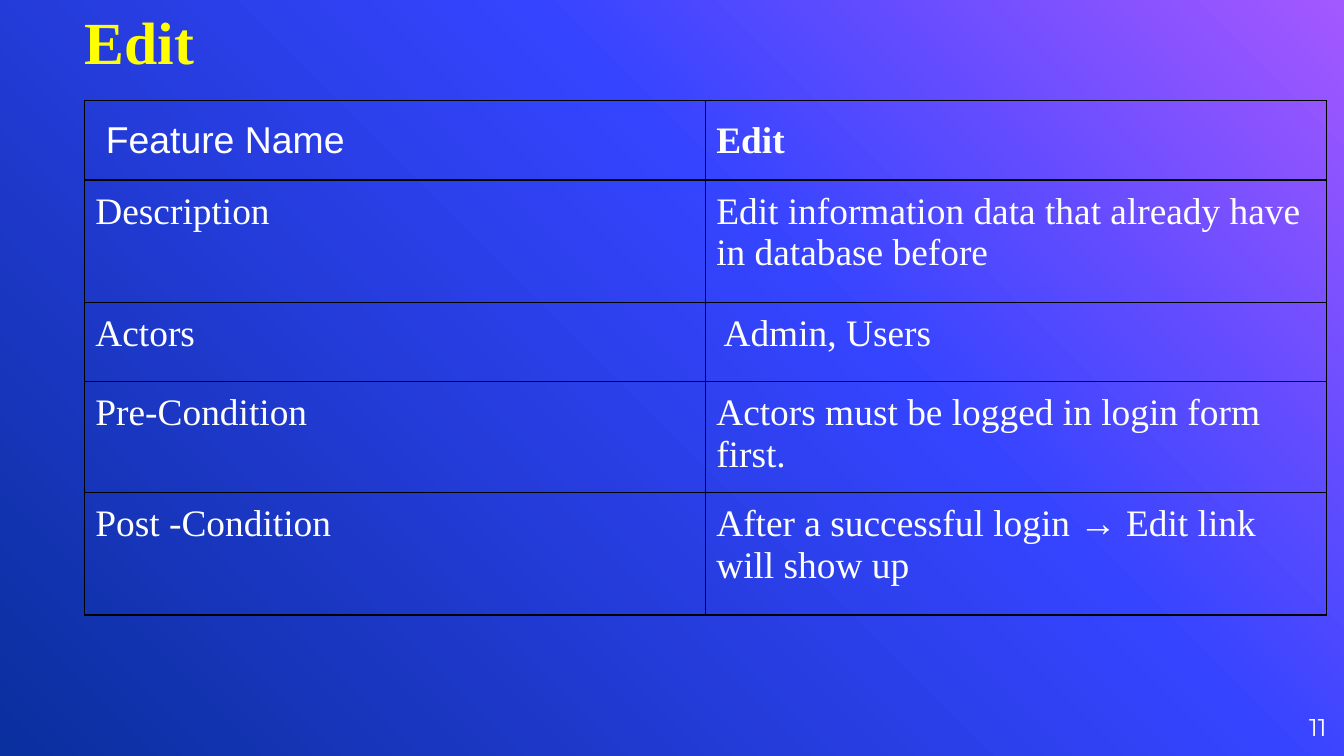
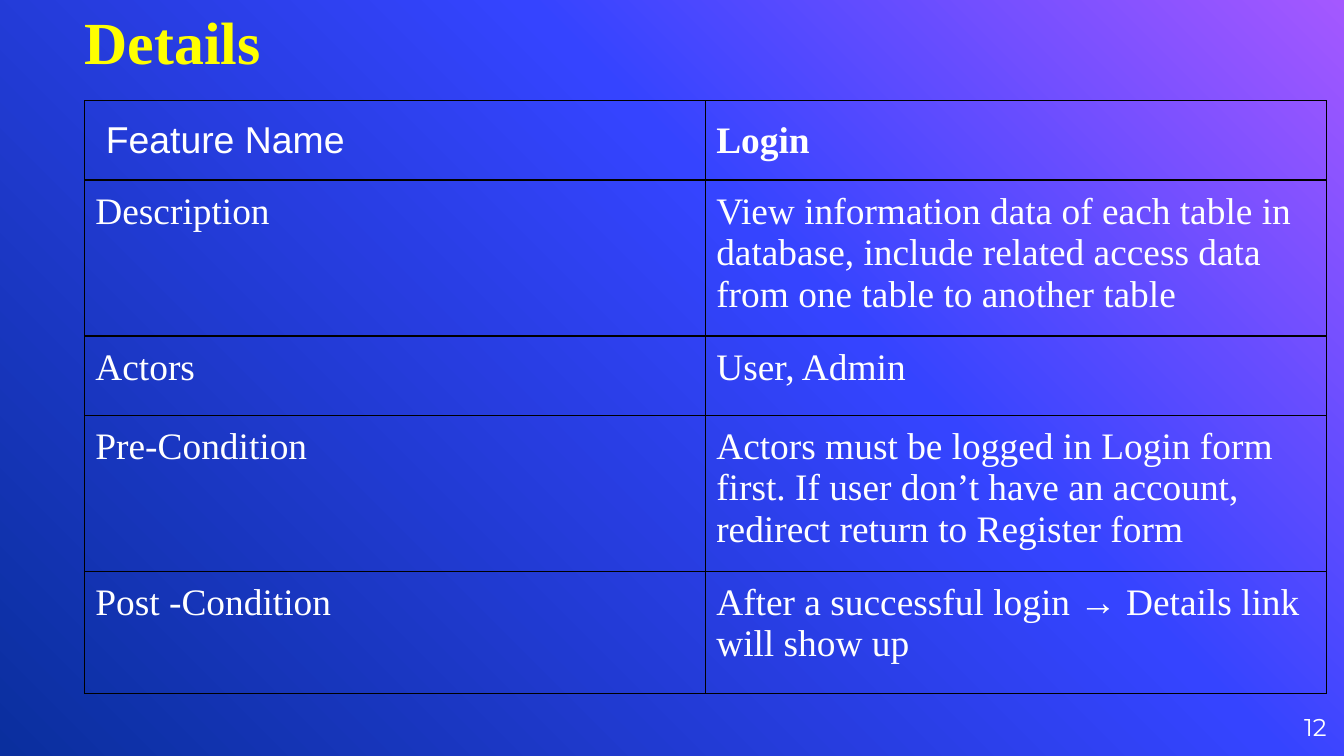
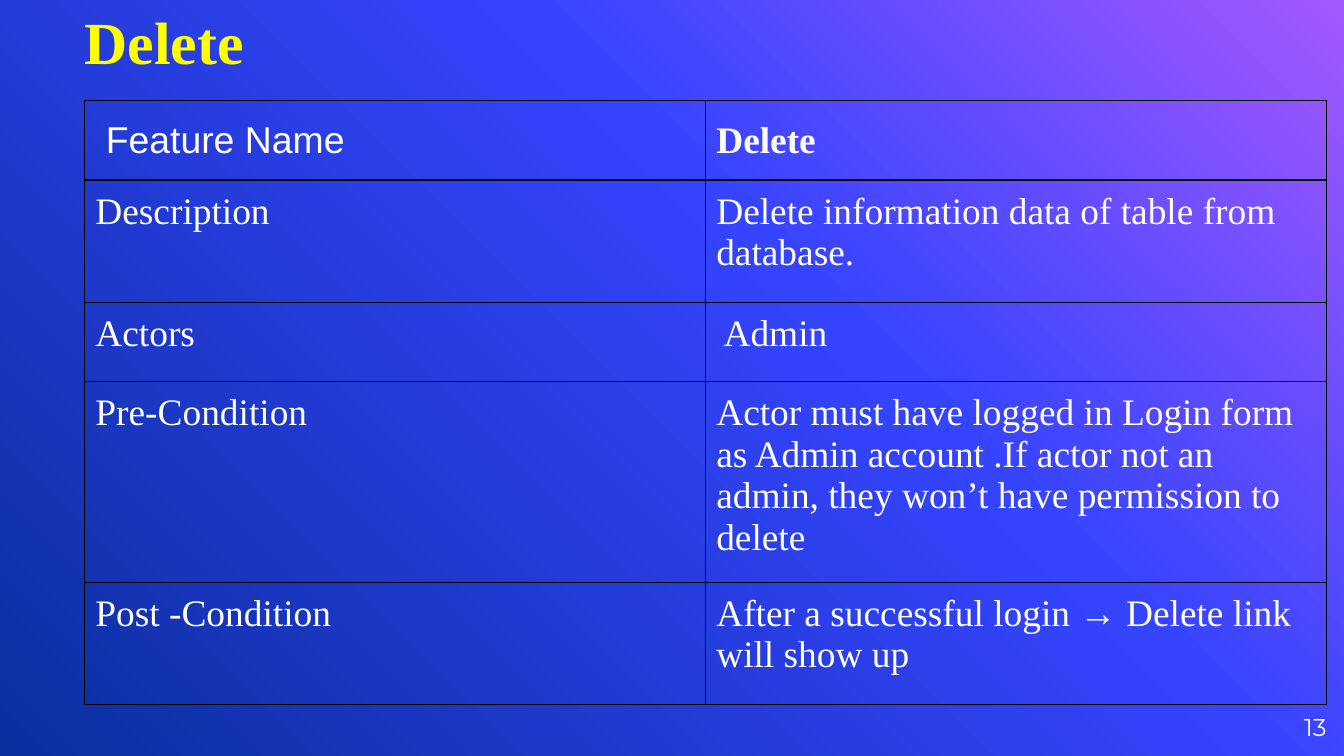
from dataclasses import dataclass
from typing import Any

import copy

import lxml.etree
import pptx
import pptx.dml.color
import pptx.enum.text
import pptx.oxml.ns
import pptx.slide
import pptx.text.text
import pptx.util

Inches = pptx.util.Inches
Pt = pptx.util.Pt
RGBColor = pptx.dml.color.RGBColor
ANCHOR = pptx.enum.text.MSO_ANCHOR
ALIGN = pptx.enum.text.PP_ALIGN
qn = pptx.oxml.ns.qn

VIOLET = RGBColor(0xA4, 0x58, 0xFF)
BLUE = RGBColor(0x35, 0x44, 0xFF)
NAVY = RGBColor(0x0A, 0x2F, 0x9E)
YELLOW = RGBColor(0xFF, 0xFF, 0x00)
WHITE = RGBColor(0xFF, 0xFF, 0xFF)
BLACK = RGBColor(0x00, 0x00, 0x00)

SLIDE_WIDTH = 10
SLIDE_HEIGHT = SLIDE_WIDTH * 9 / 16

GRADIENT = ((0, VIOLET), (0.39, BLUE), (1, NAVY))
GRADIENT_ANGLE = 225

SERIF = "Times New Roman"
TITLE_FONT = {"name": SERIF, "size": Pt(32), "bold": True}
NUMBER_FONT = {"name": "Montserrat", "size": Pt(13)}
BODY_FONT = {"name": SERIF, "size": Pt(20), "bold": False}
LABEL_HEAD_FONT = {**BODY_FONT, "name": "Arial"}
VALUE_HEAD_FONT = {**BODY_FONT, "bold": True}

SIDES = ("left", "top", "right", "bottom")
NO_MARGINS = {f"margin_{side}": 0 for side in SIDES}
CELL_MARGINS = {f"margin_{side}": Inches(0.08) for side in SIDES}

LABELS = (" Feature Name", "Description", "Actors", "Pre-Condition", "Post -Condition")
ROW_HEIGHTS = (0.59, 0.91, 0.59, 0.59, 0.91)
COLUMN_WIDTH = 4.62
LEFT = 0.63


@dataclass(frozen=True)
class Feature:
    """A feature slide: its title and the values beside the shared labels."""

    title: str
    name: str
    description: str
    actors: str
    pre_condition: str

    @property
    def values(self) -> tuple[str, ...]:
        """Return the right column from top to bottom."""
        post = f"After a successful login → {self.title} link will show up"
        return self.name, self.description, self.actors, self.pre_condition, post


@dataclass(frozen=True)
class Box:
    """Place and text format of a box that every slide has."""

    left: float
    top: float
    width: float
    height: float
    anchor: ANCHOR
    align: ALIGN
    font: dict[str, Any]
    color: RGBColor


TITLE = Box(LEFT, 0.1, 6.58, 0.47, ANCHOR.BOTTOM, ALIGN.LEFT, TITLE_FONT, YELLOW)
NUMBER = Box(9.27, 5.19, 0.6, 0.43, ANCHOR.MIDDLE, ALIGN.RIGHT, NUMBER_FONT, WHITE)

FIRST_NUMBER = 11
FEATURES = (
    Feature(
        "Edit",
        "Edit",
        "Edit information data that already have in database before",
        " Admin, Users",
        "Actors must be logged in login form first.",
    ),
    Feature(
        "Details",
        "Login",
        "View information data of each table in database, include related access data "
        "from one table to another table",
        "User, Admin",
        "Actors must be logged in Login form first. If user don’t have an account, "
        "redirect return to Register form",
    ),
    Feature(
        "Delete",
        "Delete",
        "Delete information data of table from database.",
        " Admin",
        "Actor must have logged in Login form as Admin account .If actor not an admin, "
        "they won’t have permission to delete",
    ),
)


def apply(target: Any, values: dict[str, Any]) -> None:
    """Set each named attribute on the target."""
    for name, value in values.items():
        setattr(target, name, value)


def write(tf: pptx.text.text.TextFrame, text: str, font: dict[str, Any],
          color: RGBColor, align: ALIGN = ALIGN.LEFT) -> None:
    """Put one formatted run into the first paragraph."""
    p = tf.paragraphs[0]
    p.alignment = align
    r = p.add_run()
    r.text = text
    apply(r.font, font)
    r.font.color.rgb = color


def paint_background(s: pptx.slide.Slide) -> None:
    """Fill the slide with the shared three-stop gradient."""
    fill = s.background.fill
    fill.gradient()
    fill.gradient_angle = GRADIENT_ANGLE
    stops = s.element.xpath(".//a:gsLst")[0]
    stops.insert(1, copy.deepcopy(stops[0]))
    for stop, (position, color) in zip(fill.gradient_stops, GRADIENT):
        stop.position = position
        stop.color.rgb = color


def add_box(s: pptx.slide.Slide, box: Box, text: str) -> None:
    """Add a text box without margins."""
    sp = s.shapes.add_textbox(*map(Inches, (box.left, box.top, box.width, box.height)))
    apply(sp.text_frame, {**NO_MARGINS, "word_wrap": True, "vertical_anchor": box.anchor})
    write(sp.text_frame, text, box.font, box.color, box.align)


def add_borders(cell: Any) -> None:
    """Draw a thin line on all four sides of a cell."""
    props = cell._tc.get_or_add_tcPr()
    for side in ("L", "R", "T", "B"):
        ln = lxml.etree.SubElement(props, qn(f"a:ln{side}"), w=str(Pt(0.75)))
        fill = lxml.etree.SubElement(ln, qn("a:solidFill"))
        lxml.etree.SubElement(fill, qn("a:srgbClr"), val=str(BLACK))


def add_feature_table(s: pptx.slide.Slide, feature: Feature) -> None:
    """Add the table of labels and values."""
    table = s.shapes.add_table(
        len(LABELS), 2, Inches(LEFT), Inches(0.75),
        Inches(2 * COLUMN_WIDTH), Inches(sum(ROW_HEIGHTS)),
    ).table
    apply(table, {"first_row": False, "horz_banding": False})
    for i, (height, texts) in enumerate(zip(ROW_HEIGHTS, zip(LABELS, feature.values))):
        table.rows[i].height = Inches(height)
        fonts = (BODY_FONT, BODY_FONT) if i else (LABEL_HEAD_FONT, VALUE_HEAD_FONT)
        anchor = ANCHOR.TOP if i else ANCHOR.MIDDLE
        for j, (text, font) in enumerate(zip(texts, fonts)):
            cell = table.cell(i, j)
            apply(cell, {**CELL_MARGINS, "vertical_anchor": anchor})
            add_borders(cell)
            cell.fill.background()
            write(cell.text_frame, text, font, WHITE)


def main() -> None:
    """Build the feature slides and save them."""
    prs = pptx.Presentation()
    apply(prs, {"slide_width": Inches(SLIDE_WIDTH), "slide_height": Inches(SLIDE_HEIGHT)})
    for number, feature in enumerate(FEATURES, FIRST_NUMBER):
        s = prs.slides.add_slide(prs.slide_layouts[6])
        paint_background(s)
        add_box(s, TITLE, feature.title)
        add_box(s, NUMBER, str(number))
        add_feature_table(s, feature)
    prs.save("out.pptx")


if __name__ == "__main__":
    main()
